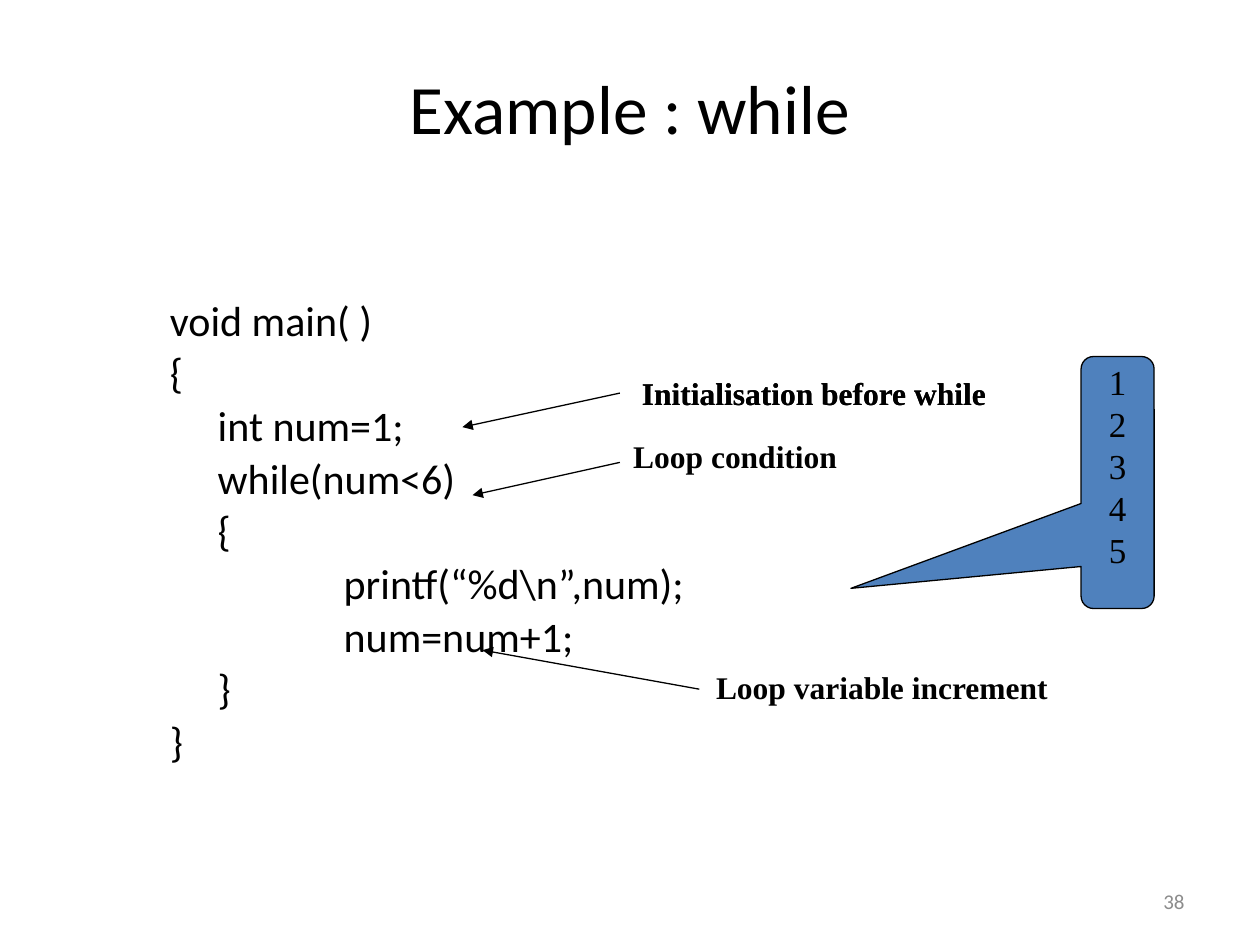
import pptx
import pptx.util
import pptx.dml.color
import pptx.enum.shapes
import pptx.enum.text
import pptx.oxml.ns
import lxml.etree

Inches, Pt = pptx.util.Inches, pptx.util.Pt
ALIGN = pptx.enum.text.PP_ALIGN
ANCHOR = pptx.enum.text.MSO_ANCHOR
SHAPE = pptx.enum.shapes.MSO_SHAPE
qn = pptx.oxml.ns.qn

HUES = {"ink": "000000", "page": "8C8C8C", "call": "4F81BD"}
SANS, SERIF = "Calibri", "Times New Roman"

# Content
TITLE = "Example : while"
CODE = [  # indent level, line
    (0, "void main( )"),
    (0, "{"),
    (1, "int num=1;"),
    (1, "while(num<6)"),
    (1, "{"),
    (2, "printf(“%d\\n”,num);"),
    (2, "num=num+1;"),
    (1, "}"),
    (0, "}"),
]
DENTS = (0, 0.38, 1.38)
OUTPUT = ["1", "2", "3", "4", "5"]
FIRST = ("Initialisation before while", 4.92, 2.92, 3.08)
NOTES = [  # text, left, top, width; the first is doubled for weight
    FIRST,
    ("Loop condition", 4.92, 3.42, 1.83),
    ("Loop variable increment", 5.5, 5.25, 3),
    FIRST,
]
ARROWS = [  # from, to
    ((4.92, 3.12), (3.67, 3.39)),
    ((4.92, 3.67), (3.75, 3.93)),
    ((5.55, 5.47), (3.83, 5.16)),
]


def tint(name):
    return pptx.dml.color.RGBColor.from_string(HUES[name])


def write(frame, lines, font, size, align, hue="ink", bold=False):
    """Put one run per paragraph and return the paragraphs."""
    frame.word_wrap = True
    for i, line in enumerate(lines):
        para = frame.paragraphs[0] if i == 0 else frame.add_paragraph()
        para.alignment = align
        run = para.add_run()
        run.text = line
        run.font.name, run.font.size, run.font.bold = font, Pt(size), bold
        run.font.color.rgb = tint(hue)
    return frame.paragraphs


def add_box(slide, left, top, width, height):
    return slide.shapes.add_textbox(*map(Inches, (left, top, width, height))).text_frame


def add_arrow(slide, start, end):
    line = slide.shapes.add_connector(
        pptx.enum.shapes.MSO_CONNECTOR.STRAIGHT, *map(Inches, start + end))
    line.line.color.rgb = tint("ink")
    line.line.width = Pt(0.75)
    props = line._element.spPr
    lxml.etree.SubElement(props.find(qn("a:ln")), qn("a:tailEnd"), type="triangle")
    lxml.etree.SubElement(props, qn("a:effectLst"))


def main():
    deck = pptx.Presentation()
    deck.slide_width, deck.slide_height = Inches(10), Inches(7.5)
    slide = deck.slides.add_slide(deck.slide_layouts[5])

    # Title
    title = slide.shapes.title
    title.left, title.top, title.width, title.height = map(Inches, (0.5, 0.56, 9, 0.58))
    title.text_frame.vertical_anchor = ANCHOR.MIDDLE
    write(title.text_frame, [TITLE], SANS, 39.6, ALIGN.CENTER)

    # Code listing
    frame = add_box(slide, 1.25, 2.33, 4.67, 4.5)
    paras = write(frame, [line for _, line in CODE], SANS, 24, ALIGN.LEFT)
    for para, (level, _) in zip(paras, CODE):
        para.line_spacing = 0.9
        para.space_before = Pt(4.2)
        para._p.get_or_add_pPr().set("marL", str(Inches(DENTS[level])))

    # Page number
    frame = add_box(slide, 7.17, 6.95, 2.33, 0.4)
    frame.vertical_anchor = ANCHOR.MIDDLE
    write(frame, ["38"], SANS, 12, ALIGN.RIGHT, "page")

    # Callout with the program output
    call = slide.shapes.add_shape(
        SHAPE.ROUNDED_RECTANGULAR_CALLOUT, *map(Inches, (8.58, 2.83, 0.58, 2)))
    for i, value in enumerate((-3.65, 0.42, 0.17)):
        call.adjustments[i] = value
    call.shadow.inherit = False
    call.fill.solid()
    call.fill.fore_color.rgb = tint("call")
    call.line.color.rgb = tint("ink")
    call.line.width = Pt(0.75)
    frame = call.text_frame
    frame.vertical_anchor = ANCHOR.TOP
    frame.margin_top = frame.margin_bottom = 0
    for para in write(frame, OUTPUT, SERIF, 20, ALIGN.CENTER):
        para.line_spacing = Pt(24)

    # Arrows and their notes
    for start, end in ARROWS:
        add_arrow(slide, start, end)
    for text, left, top, width in NOTES:
        frame = add_box(slide, left, top, width, 0.4)
        write(frame, [text], SERIF, 18, ALIGN.CENTER, bold=True)

    deck.save("out.pptx")


if __name__ == "__main__":
    main()
